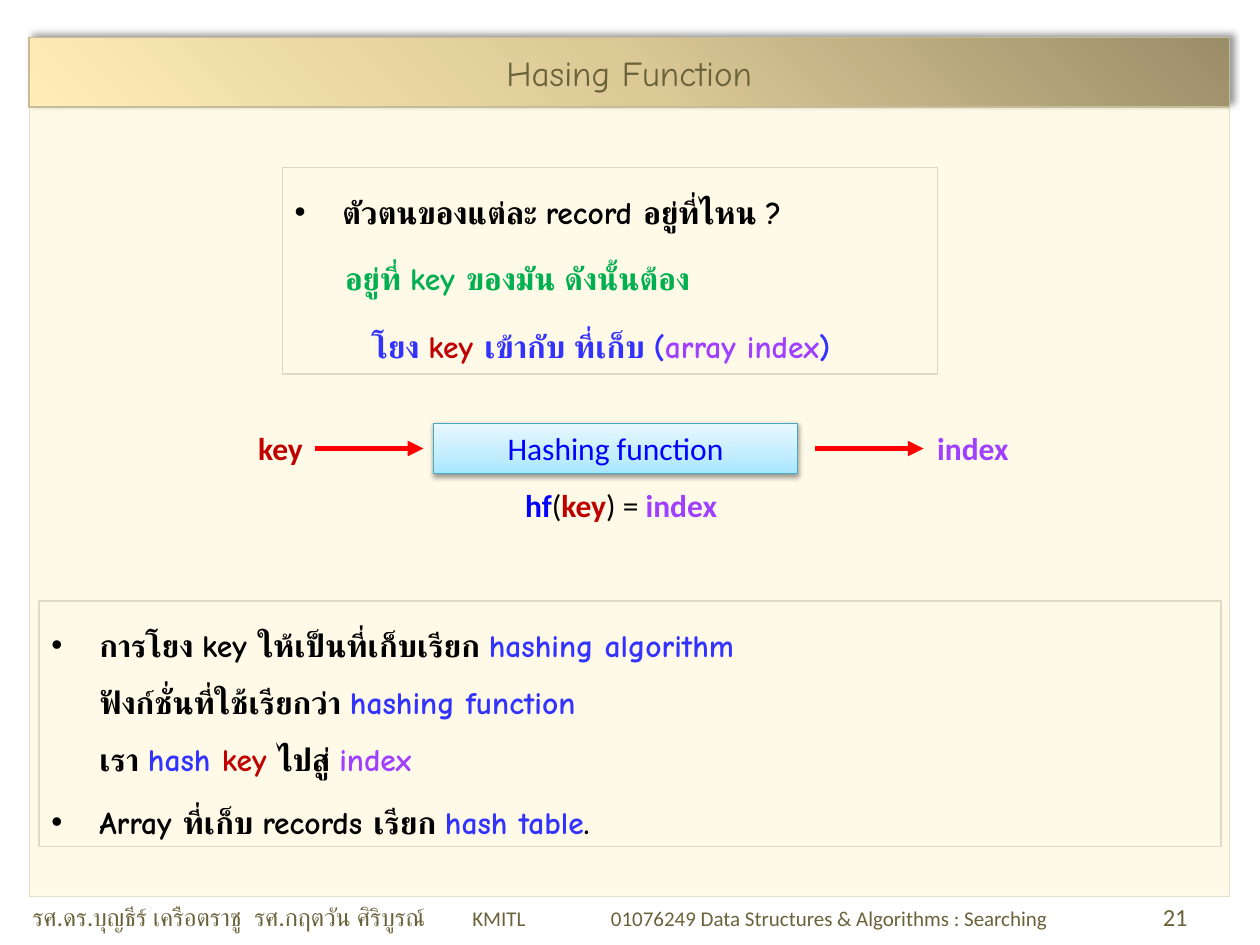
import pptx
import pptx.util
import pptx.dml.color
import pptx.enum.shapes
import pptx.enum.text
import pptx.oxml
import pptx.oxml.ns

COMIC, CALIBRI = "Comic Neue", "Calibri"
BLACK, OLIVE, GREEN, RED = "000000", "6A623A", "00B050", "C00000"
BLUE, PURE_BLUE, PURPLE = "3333FF", "0000FF", "9F3FFF"
CENTER = pptx.enum.text.PP_ALIGN.CENTER
MARGIN, CONTENT_WIDTH = 0.23, 9.53
FLOW_TOP, FLOW_HEIGHT = 3.36, 0.4


def color(hex_string):
    return pptx.dml.color.RGBColor.from_string(hex_string)


def inches(*lengths):
    return [pptx.util.Inches(length) for length in lengths]


def xml(tag, content="", **attributes):
    """Make a drawing element such as a:effectLst."""
    values = "".join(f' {name}="{value}"' for name, value in attributes.items())
    namespace = pptx.oxml.ns.nsdecls("a")
    return pptx.oxml.parse_xml(f"<a:{tag} {namespace}{values}>{content}</a:{tag}>")


def add_box(slide, box, line, line_width=0.75, fill=None):
    shape = slide.shapes.add_shape(pptx.enum.shapes.MSO_SHAPE.RECTANGLE, *inches(*box))
    shape.shadow.inherit = False
    shape.line.color.rgb = color(line)
    shape.line.width = pptx.util.Pt(line_width)
    if fill:
        shape.fill.solid()
        shape.fill.fore_color.rgb = color(fill)
    else:
        shape.fill.background()
    shape.text_frame.vertical_anchor = pptx.enum.text.MSO_ANCHOR.TOP
    return shape


def set_gradient(shape, stops, angle):
    shape.fill.gradient()
    shape.fill.gradient_angle = angle
    stop_list = next(shape._element.iter(pptx.oxml.ns.qn("a:gsLst")))
    for stop in list(stop_list):
        stop_list.remove(stop)
    for position, hex_string in stops:
        stop_list.append(xml("gs", f'<a:srgbClr val="{hex_string}"/>', pos=position * 1000))


def set_shadow(shape, opacity, blur, distance, direction):
    effects = shape._element.spPr.find(pptx.oxml.ns.qn("a:effectLst"))
    black = f'<a:srgbClr val="000000"><a:alpha val="{opacity * 1000}"/></a:srgbClr>'
    effects.append(xml("outerShdw", black, blurRad=pptx.util.Pt(blur),
                       dist=pptx.util.Pt(distance), dir=direction * 60000, rotWithShape=0))


def add_text_box(slide, box, wrap=True):
    text_box = slide.shapes.add_textbox(*inches(*box))
    text_box.text_frame.word_wrap = wrap
    return text_box


def write_runs(paragraph, runs, font=COMIC, size=18, bold=True, align=None):
    """Write (text, color[, bold]) runs; a leading \\v starts a new line."""
    paragraph.alignment = align or pptx.enum.text.PP_ALIGN.LEFT
    for text, hex_string, *own_bold in runs:
        if text.startswith("\v"):
            paragraph.add_line_break()
        run = paragraph.add_run()
        run.text = text.lstrip("\v")
        run.font.name = font
        run.font.size = pptx.util.Pt(size)
        run.font.bold = own_bold[0] if own_bold else bold
        run.font.color.rgb = color(hex_string)


def write_list(shape, paragraphs, space_before, bullet=False, indents=None):
    """Write widely spaced paragraphs, bulleted or with given left indents."""
    frame = shape.text_frame
    for index, runs in enumerate(paragraphs):
        paragraph = frame.add_paragraph() if index else frame.paragraphs[0]
        paragraph.line_spacing = 1.5
        paragraph.space_before = pptx.util.Pt(space_before if index else 0)
        properties = paragraph._p.get_or_add_pPr()
        indent = pptx.util.Inches(0.38 if bullet else indents[index])
        properties.set("marL", str(indent))
        properties.set("indent", str(-indent if bullet else 0))
        if bullet:
            properties.append(xml("buFont", typeface="Arial"))
            properties.append(xml("buChar", char="•"))
        write_runs(paragraph, runs)


def add_arrow(slide, left, top, length):
    arrow = slide.shapes.add_connector(pptx.enum.shapes.MSO_CONNECTOR.STRAIGHT,
                                       *inches(left, top, left + length, top))
    arrow.line.color.rgb = color("FF0000")
    arrow.line.width = pptx.util.Pt(3)
    arrow.line._get_or_add_ln().append(xml("tailEnd", type="triangle"))
    arrow._element.spPr.append(xml("effectLst"))


def add_frame(slide):
    # Content panel and title bar
    add_box(slide, (MARGIN, 0.85, CONTENT_WIDTH, 6.26), "E7DFC9", 0.25, "FFF9E7")
    title = add_box(slide, (MARGIN, 0.3, CONTENT_WIDTH, 0.55), "C4BD97")
    set_gradient(title, [(0, "9A8D69"), (50, "DBC996"), (100, "FFECB7")], 225)
    set_shadow(title, 40, 4, 3, 315)
    title.text_frame.vertical_anchor = pptx.enum.text.MSO_ANCHOR.MIDDLE
    write_runs(title.text_frame.paragraphs[0], [("Hasing Function", OLIVE)],
               size=20, bold=False, align=CENTER)

    # Footer, its parts placed by tab stops
    footer = add_text_box(slide, (0.16, 7.11, 9.69, 0.34)).text_frame.paragraphs[0]
    stops = "".join(f'<a:tab pos="{pptx.util.Inches(stop)}" algn="l"/>'
                    for stop in (1.76, 3.49, 4.59, 8.97))
    footer._p.get_or_add_pPr().append(xml("tabLst", stops))
    for text, size in (
        ("รศ.ดร.บุญธีร์ เครือตราชู\tรศ.กฤตวัน ศิริบูรณ์", 14),
        ("\tKMITL\t01076249 Data Structures & Algorithms : Searching\t", 12),
        ("21", 14),
    ):
        write_runs(footer, [(text, OLIVE)], CALIBRI, size, bold=False)


def add_question(slide):
    question = add_box(slide, (2.24, 1.33, 5.2, 1.64), "DDD9C3")
    write_list(question, [[("ตัวตนของแต่ละ record อยู่ที่ไหน ?", BLACK)]], 0, bullet=True)
    answer = add_text_box(slide, (2.64, 1.86, 4.8, 1.09))
    write_list(answer, [
        [("อยู่ที่ key ของมัน ดังนั้นต้อง", GREEN)],
        [("โยง ", BLUE), ("key ", RED), ("เข้ากับ ที่เก็บ (", BLUE),
         ("array index", PURPLE), (")", BLUE)],
    ], 6, indents=(0, 0.21))


def add_flow(slide):
    function_box = add_box(slide, (3.44, FLOW_TOP, 2.89, FLOW_HEIGHT), "46AAC5")
    set_gradient(function_box, [(0, "A7E6FF"), (35, "C1EDFF"), (100, "E7F8FF")], 90)
    set_shadow(function_box, 38, 3.1, 1.6, 90)
    write_runs(function_box.text_frame.paragraphs[0], [("Hashing function", PURE_BLUE)],
               CALIBRI, bold=False, align=CENTER)
    for left in (2.5, 6.47):
        add_arrow(slide, left, FLOW_TOP + FLOW_HEIGHT / 2, 0.86)
    for left, width, text, hex_string in ((1.95, 0.61, "key", RED),
                                          (7.34, 0.86, "index", PURPLE)):
        label = add_text_box(slide, (left, FLOW_TOP, width, FLOW_HEIGHT))
        write_runs(label.text_frame.paragraphs[0], [(text, hex_string)], CALIBRI)
    formula = add_text_box(slide, (4.06, 3.81, 1.74, FLOW_HEIGHT), wrap=False)
    write_runs(formula.text_frame.paragraphs[0], [
        ("hf", PURE_BLUE), ("(", BLACK, False), ("key", RED),
        (") = ", BLACK, False), ("index", PURPLE),
    ], CALIBRI, align=CENTER)


def add_definitions(slide):
    definitions = add_box(slide, (0.31, 4.77, 9.38, 1.95), "DDD9C3")
    write_list(definitions, [
        [("การโยง key ให้เป็นที่เก็บเรียก ", BLACK), ("hashing algorithm", BLUE),
         ("\vฟังก์ชั่นที่ใช้เรียกว่า ", BLACK), ("hashing function", BLUE),
         ("\vเรา ", BLACK), ("hash ", BLUE), ("key ", RED),
         ("ไปสู่ ", BLACK), ("index", PURPLE)],
        [("Array ที่เก็บ records เรียก ", BLACK), ("hash table", BLUE), (".", BLACK)],
    ], 3.6, bullet=True)


def main():
    presentation = pptx.Presentation()
    presentation.slide_width, presentation.slide_height = inches(10, 7.5)
    slide = presentation.slides.add_slide(presentation.slide_layouts[6])
    add_frame(slide)
    add_question(slide)
    add_flow(slide)
    add_definitions(slide)
    presentation.save("out.pptx")


if __name__ == "__main__":
    main()
